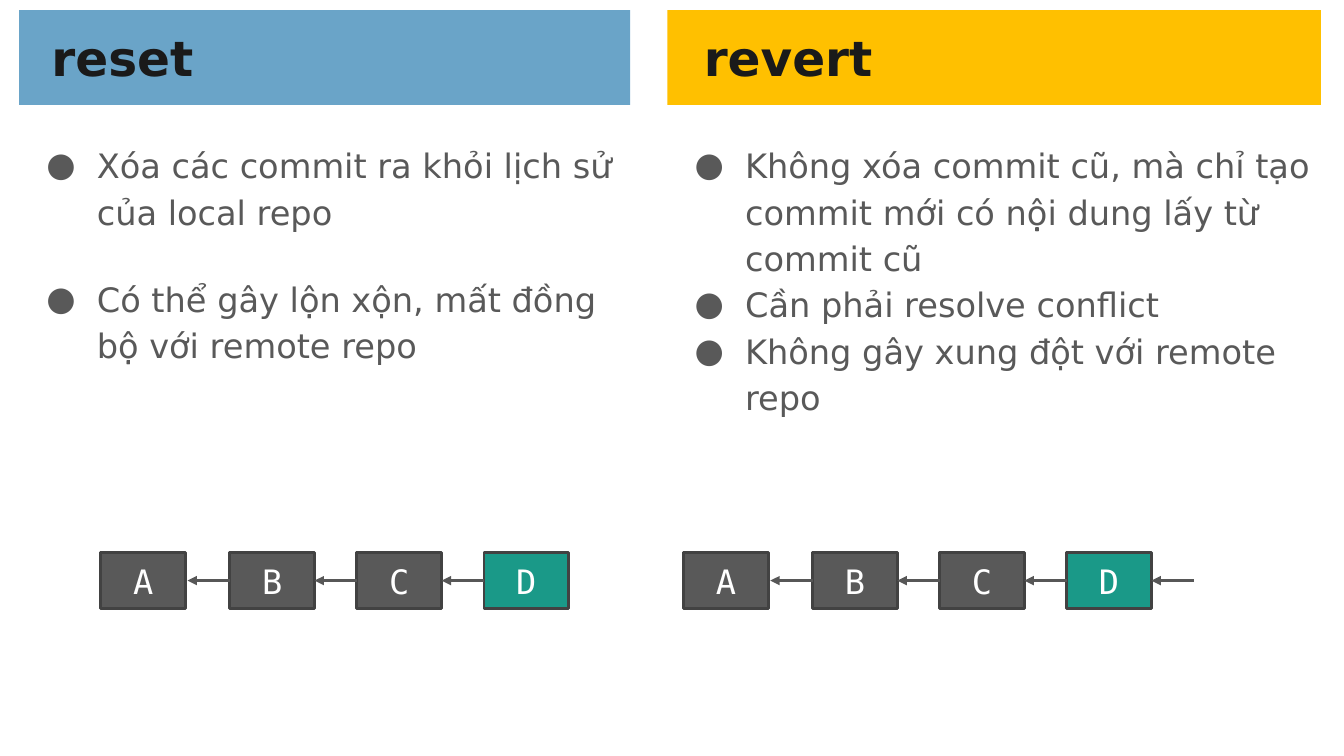
"""Build a slide comparing git reset with git revert."""
import pptx
import pptx.dml.color
import pptx.enum.shapes
import pptx.enum.text
import pptx.oxml
import pptx.oxml.ns
import pptx.util
from pptx.util import Inches

COLOURS = {
    "reset": "6AA4C8",
    "revert": "FFC000",
    "heading": "1A1A1A",
    "text": "595959",
    "commit": "595959",
    "head": "1A9988",
    "border": "424242",
    "arrow": "575757",
    "label": "FFFFFF",
}
COMMIT_WIDTH, COMMIT_HEIGHT, COMMIT_TOP = 0.84, 0.56, 5.48
FIRST_STEP, STEP, ARROW_LENGTH = 1.28, 1.26, 0.42
ARROW_Y = COMMIT_TOP + COMMIT_HEIGHT / 2


def colour(name):
    return pptx.dml.color.RGBColor.from_string(COLOURS[name])


def add_xml(parent, tag, **attributes):
    child = pptx.oxml.parse_xml(f"<a:{tag} {pptx.oxml.ns.nsdecls('a')}/>")
    for name, value in attributes.items():
        child.set(name, str(value))
    parent.append(child)
    return child


def place(box, left, top, width, height):
    box.left, box.top = Inches(left), Inches(top)
    box.width, box.height = Inches(width), Inches(height)


def write(para, text, *, size, ink, font="DejaVu Sans", bold=False):
    span = para.add_run()
    span.text = text
    span.font.name = font
    span.font.size = pptx.util.Pt(size)
    span.font.bold = bold
    span.font.color.rgb = colour(ink)


def set_frame(box, margin, anchor):
    frame = box.text_frame
    frame.word_wrap = True
    frame.auto_size = pptx.enum.text.MSO_AUTO_SIZE.NONE
    frame.vertical_anchor = anchor
    frame.margin_left = frame.margin_right = Inches(margin)
    frame.margin_top = frame.margin_bottom = Inches(margin)
    return frame


def add_rectangle(page, left, top, width, height, fill):
    box = page.shapes.add_shape(
        pptx.enum.shapes.MSO_SHAPE.RECTANGLE,
        Inches(left), Inches(top), Inches(width), Inches(height))
    box.shadow.inherit = False
    box.fill.solid()
    box.fill.fore_color.rgb = colour(fill)
    box.line.fill.background()
    return box


def add_bar(page, left, width, fill):
    bar = add_rectangle(page, left, 0.1, width, 0.94, fill)
    page.shapes._spTree.insert(2, bar._element)


def fill_heading(box, text, left, width):
    place(box, left, 0.17, width, 0.8)
    frame = set_frame(box, 0.1, pptx.enum.text.MSO_ANCHOR.MIDDLE)
    para = frame.paragraphs[0]
    properties = para._p.get_or_add_pPr()
    properties.set("marL", str(Inches(0.1)))
    properties.set("indent", "0")
    add_xml(properties, "buNone")
    para.space_before = pptx.util.Pt(0)
    write(para, text, size=34.7, ink="heading", bold=True)


def fill_list(box, items, left, width, height, gap):
    place(box, left, 1.28, width, height)
    frame = set_frame(box, 0.1, pptx.enum.text.MSO_ANCHOR.TOP)
    for index, text in enumerate(items):
        para = frame.add_paragraph() if index else frame.paragraphs[0]
        properties = para._p.get_or_add_pPr()
        properties.set("marL", str(Inches(0.67)))
        properties.set("indent", str(Inches(-0.5)))
        add_xml(add_xml(properties, "buClr"), "srgbClr", val=COLOURS["text"])
        add_xml(properties, "buFont", typeface="DejaVu Sans")
        add_xml(properties, "buChar", char="●")
        para.line_spacing = 1.15
        para.space_before = pptx.util.Pt(gap if index else 0)
        write(para, text, size=24, ink="text")


def add_commit(page, label, left, fill):
    box = add_rectangle(page, left, COMMIT_TOP, COMMIT_WIDTH, COMMIT_HEIGHT, fill)
    box.line.color.rgb = colour("border")
    box.line.width = pptx.util.Pt(2)
    frame = set_frame(box, 0, pptx.enum.text.MSO_ANCHOR.MIDDLE)
    para = frame.paragraphs[0]
    para.alignment = pptx.enum.text.PP_ALIGN.CENTER
    write(para, label, size=24, ink="label", font="DejaVu Sans Mono")
    return box


def add_arrow(page, start, source=None, target=None):
    arrow = page.shapes.add_connector(
        pptx.enum.shapes.MSO_CONNECTOR.STRAIGHT,
        Inches(start), Inches(ARROW_Y),
        Inches(start - ARROW_LENGTH), Inches(ARROW_Y))
    if source is not None:
        arrow.begin_connect(source, 3 - 2)
    if target is not None:
        arrow.end_connect(target, 3)
    arrow.line.color.rgb = colour("arrow")
    arrow.line.width = pptx.util.Pt(2.25)
    add_xml(arrow.line._get_or_add_ln(), "tailEnd", type="triangle")
    add_xml(arrow._element.spPr, "effectLst")


def add_history(page, left):
    lefts = [left] + [left + FIRST_STEP + STEP * index for index in range(3)]
    commits = [add_commit(page, label, start, "head" if label == "D" else "commit")
               for label, start in zip("ABCD", lefts)]
    for index in range(1, len(commits)):
        target = commits[index - 1] if index > 1 else None
        add_arrow(page, lefts[index], commits[index], target)
    return commits[-1], lefts[-1]


def main():
    deck = pptx.Presentation()
    deck.slide_width, deck.slide_height = Inches(13.33), Inches(7.5)
    page = deck.slides.add_slide(deck.slide_layouts.get_by_name("Comparison"))
    title = page.shapes.title._element
    title.getparent().remove(title)
    holders = {holder.placeholder_format.idx: holder for holder in page.placeholders}

    add_bar(page, 0.19, 6.06, "reset")
    fill_heading(holders[1], "reset", 0.31, 5.81)
    fill_list(holders[2], [
        "Xóa các commit ra khỏi lịch sử của local repo",
        "Có thể gây lộn xộn, mất đồng bộ với remote repo",
    ], 0.19, 6.06, 2.53, gap=29)
    add_history(page, 1)

    add_bar(page, 6.62, 6.48, "revert")
    fill_heading(holders[3], "revert", 6.78, 6.2)
    fill_list(holders[4], [
        "Không xóa commit cũ, mà chỉ tạo commit mới có nội dung lấy từ commit cũ",
        "Cần phải resolve conflict",
        "Không gây xung đột với remote repo",
    ], 6.62, 6.48, 3.12, gap=0)
    last_commit, last_left = add_history(page, 6.78)
    add_arrow(page, last_left + STEP, target=last_commit)

    deck.save("out.pptx")


if __name__ == "__main__":
    main()
